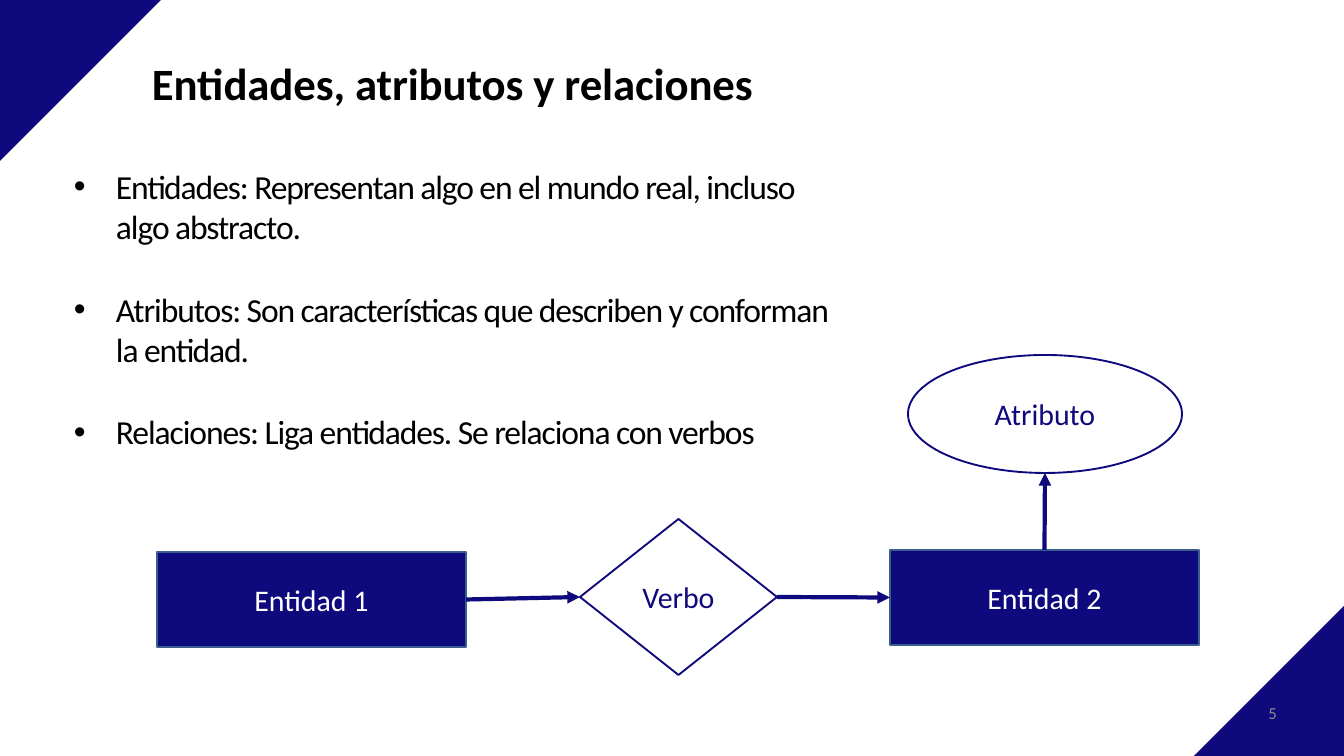
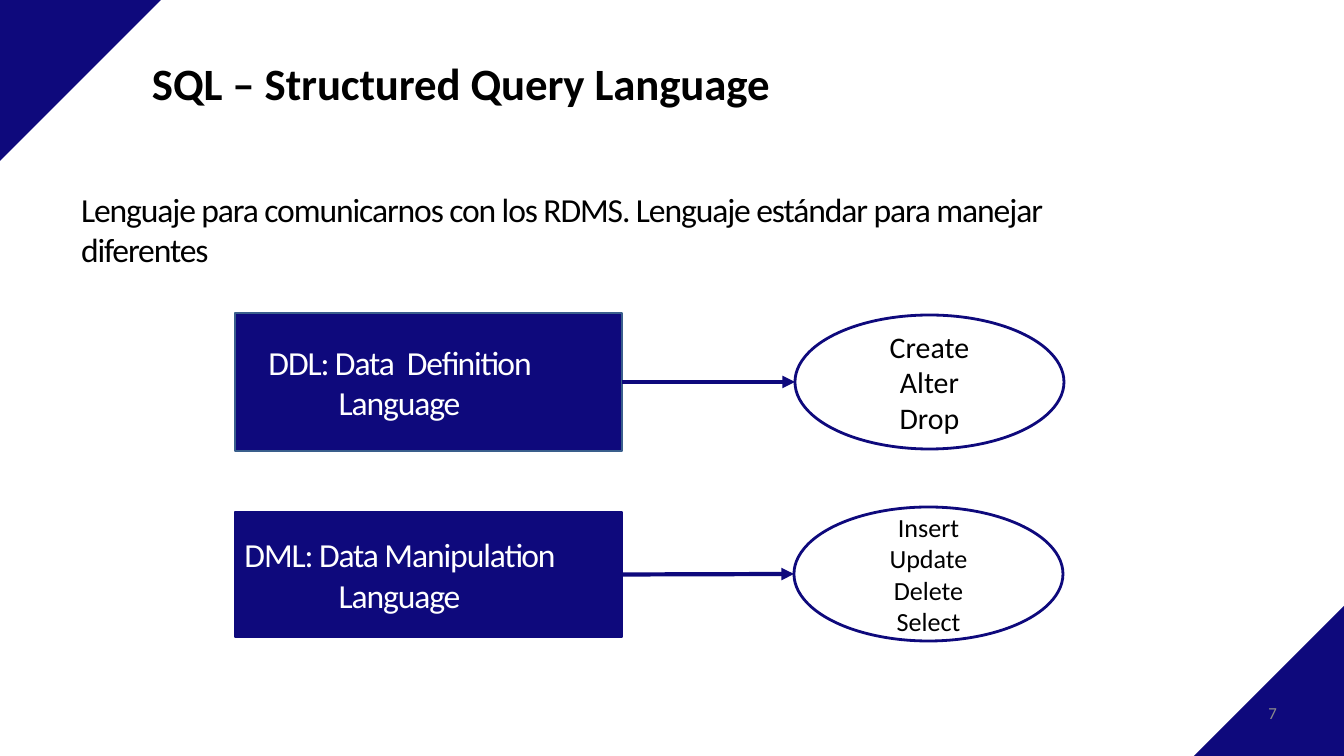
from typing import NamedTuple

from lxml.etree import SubElement
from pptx import Presentation
from pptx.dml.color import RGBColor
from pptx.enum.shapes import MSO_CONNECTOR as Connector, MSO_SHAPE as Shape
from pptx.enum.text import MSO_ANCHOR as Anchor, MSO_AUTO_SIZE as AutoSize, PP_ALIGN as Align
from pptx.oxml.ns import qn
from pptx.util import Emu, Pt

NAVY = RGBColor(0x0E, 0x09, 0x7C)
STEEL = RGBColor(0x3A, 0x5F, 0x8C)
GREY = RGBColor(0x8C, 0x8C, 0x8C)
BLACK = RGBColor(0, 0, 0)
WHITE = RGBColor(0xFF, 0xFF, 0xFF)
FONT = "Calibri"
EMU_PER_PX = 914400 / 67.2
WIDTH, HEIGHT = 1344, 756
BODY_SPACING, TITLE_SPACING = -120, -10
BODY_RIGHT_MARGIN = 58
TOP, LEFT, BOTTOM, RIGHT = range(4)


class Box(NamedTuple):
    """A region of the slide in px."""
    left: int
    top: int
    width: int
    height: int

    def inner(self, left, top, width, height):
        """Return a box placed relative to this one."""
        return Box(self.left + left, self.top + top, width, height)

    def side(self, site):
        """Return the middle of one side."""
        across, down = ((1, 0), (0, 1), (1, 2), (2, 1))[site]
        return self.left + self.width * across / 2, self.top + self.height * down / 2


class Node(NamedTuple):
    """A drawn shape with its box."""
    shape: object
    box: Box
    joinable: bool


def px(length):
    """Turn px into EMU."""
    return Emu(round(length * EMU_PER_PX))


def write(frame, lines, size, color, align=Align.LEFT, bold=False, spacing=0):
    """Fill a text frame with one paragraph per line."""
    frame.word_wrap = True
    frame.text = "\n".join(lines)
    for paragraph in frame.paragraphs:
        paragraph.alignment = align
        for run in paragraph.runs:
            font = run.font
            font.name, font.size, font.bold = FONT, Pt(size), bold
            font.color.rgb = color
            if spacing:
                font._element.set("spc", str(spacing))


def style_body(frame, before=1, bulleted=False):
    """Give body paragraphs their margins, spacing and bullets."""
    for index, paragraph in enumerate(frame.paragraphs):
        paragraph.space_before = Pt(before if index else 1)
        properties = paragraph._p.get_or_add_pPr()
        properties.set("marR", str(px(BODY_RIGHT_MARGIN)))
        if bulleted:
            properties.set("marL", str(px(43)))
            properties.set("indent", str(px(-42)))
            SubElement(properties, qn("a:buFont"), typeface="Arial")
            SubElement(properties, qn("a:buChar"), char="•")


def add_text(slide, box, lines, size, color, **style):
    """Add a text box without side insets and return its frame."""
    frame = slide.shapes.add_textbox(*map(px, box)).text_frame
    frame.margin_left = frame.margin_right = frame.margin_bottom = 0
    frame.margin_top = px(1)
    write(frame, lines, size, color, **style)
    frame.auto_size = AutoSize.SHAPE_TO_FIT_TEXT
    return frame


def add_node(slide, kind, box, lines, color, size=32, fill=WHITE, outline=NAVY, weight=2, spacing=0):
    """Add a labelled diagram shape."""
    shape = slide.shapes.add_shape(kind, *map(px, box))
    shape.shadow.inherit = False
    shape.fill.solid()
    shape.fill.fore_color.rgb = fill
    shape.line.color.rgb = outline
    shape.line.width = Pt(weight)
    shape.text_frame.vertical_anchor = Anchor.MIDDLE
    write(shape.text_frame, lines, size, color, Align.CENTER, spacing=spacing)
    return Node(shape, box, kind != Shape.OVAL)


def add_arrow(slide, source, source_site, target, target_site):
    """Draw an arrow between the sides of two nodes."""
    ends = source.box.side(source_site) + target.box.side(target_site)
    arrow = slide.shapes.add_connector(Connector.STRAIGHT, *map(px, ends))
    if source.joinable:
        arrow.begin_connect(source.shape, source_site)
    if target.joinable:
        arrow.end_connect(target.shape, target_site)
    arrow.line.color.rgb = NAVY
    arrow.line.width = Pt(4.5)
    SubElement(arrow.line._get_or_add_ln(), qn("a:tailEnd"), type="triangle")
    SubElement(arrow._element.spPr, qn("a:effectLst"))


def add_corner(slide, points):
    """Draw a navy corner triangle."""
    builder = slide.shapes.build_freeform(*points[0], scale=EMU_PER_PX)
    builder.add_line_segments(points[1:])
    corner = builder.convert_to_shape()
    corner.shadow.inherit = False
    corner.fill.solid()
    corner.fill.fore_color.rgb = NAVY
    corner.line.fill.background()


def add_frame(deck, title, number):
    """Add a slide with its corners, number and title."""
    slide = deck.slides.add_slide(deck.slide_layouts[6])
    add_corner(slide, [(0, 161), (0, 0), (161, 0)])
    add_corner(slide, [(WIDTH, 606), (WIDTH, HEIGHT), (1194, HEIGHT)])
    number_frame = add_text(slide, Box(968, 703, 309, 38), [number], 18, GREY, align=Align.RIGHT)
    number_frame.margin_top = 0
    title_frame = add_text(slide, Box(152, 55, 1003, 55), [title], 48, BLACK,
                           bold=True, spacing=TITLE_SPACING)
    title_frame.paragraphs[0].space_before = Pt(0.9)
    return slide


def add_entity_diagram(slide, box):
    """Draw two entities linked by a verb, with an attribute above."""
    entity = {"color": WHITE, "fill": NAVY, "outline": STEEL}
    first = add_node(slide, Shape.RECTANGLE, box.inner(0, 197, 309, 95), ["Entidad 1"], **entity)
    attribute = add_node(slide, Shape.OVAL, box.inner(751, 0, 274, 118), ["Atributo"], NAVY)
    second = add_node(slide, Shape.RECTANGLE, box.inner(733, 195, 309, 95), ["Entidad 2"], **entity)
    verb = add_node(slide, Shape.DIAMOND, box.inner(423, 164, 197, 156), ["Verbo"], NAVY)
    add_arrow(slide, second, TOP, attribute, BOTTOM)
    add_arrow(slide, first, RIGHT, verb, LEFT)
    add_arrow(slide, verb, RIGHT, second, LEFT)


def add_language_row(slide, box, language, outline, commands, size):
    """Draw a sublanguage with an arrow to its commands."""
    name = add_node(slide, Shape.RECTANGLE, box.inner(0, 0, 387, box.height), [language], WHITE,
                    36, NAVY, outline, spacing=BODY_SPACING)
    style_body(name.shape.text_frame)
    oval = box.inner(box.width - 269, (box.height - 134) // 2, 269, 134)
    command_list = add_node(slide, Shape.OVAL, oval, commands, BLACK, size, weight=3)
    add_arrow(slide, name, RIGHT, command_list, LEFT)


def build_entities(deck):
    """Build the slide on entities, attributes and relations."""
    slide = add_frame(deck, "Entidades, atributos y relaciones", "5")
    definitions = add_text(slide, Box(73, 165, 818, 290), [
        "Entidades: Representan algo en el mundo real, incluso algo abstracto.",
        "Atributos: Son características que describen y conforman la entidad.",
        "Relaciones: Liga entidades. Se relaciona con verbos",
    ], 36, BLACK, spacing=BODY_SPACING)
    style_body(definitions, before=45, bulleted=True)
    add_entity_diagram(slide, Box(157, 355, 1042, 320))


def build_sql(deck):
    """Build the slide on SQL and its sublanguages."""
    slide = add_frame(deck, "SQL – Structured Query Language", "7")
    summary = add_text(slide, Box(81, 188, 1142, 83), [
        "Lenguaje para comunicarnos con los RDMS. Lenguaje estándar para manejar diferentes",
    ], 36, BLACK, spacing=BODY_SPACING)
    style_body(summary)
    add_language_row(slide, Box(235, 313, 829, 138), "DDL: Data  Definition Language", STEEL,
                     ["Create", "Alter", "Drop"], 32)
    add_language_row(slide, Box(235, 512, 828, 125), "DML: Data Manipulation Language", NAVY,
                     ["Insert", "Update", "Delete", "Select"], 28)


def main():
    """Build and save the deck."""
    deck = Presentation()
    deck.slide_width, deck.slide_height = px(WIDTH), px(HEIGHT)
    build_entities(deck)
    build_sql(deck)
    deck.save("out.pptx")


if __name__ == "__main__":
    main()
